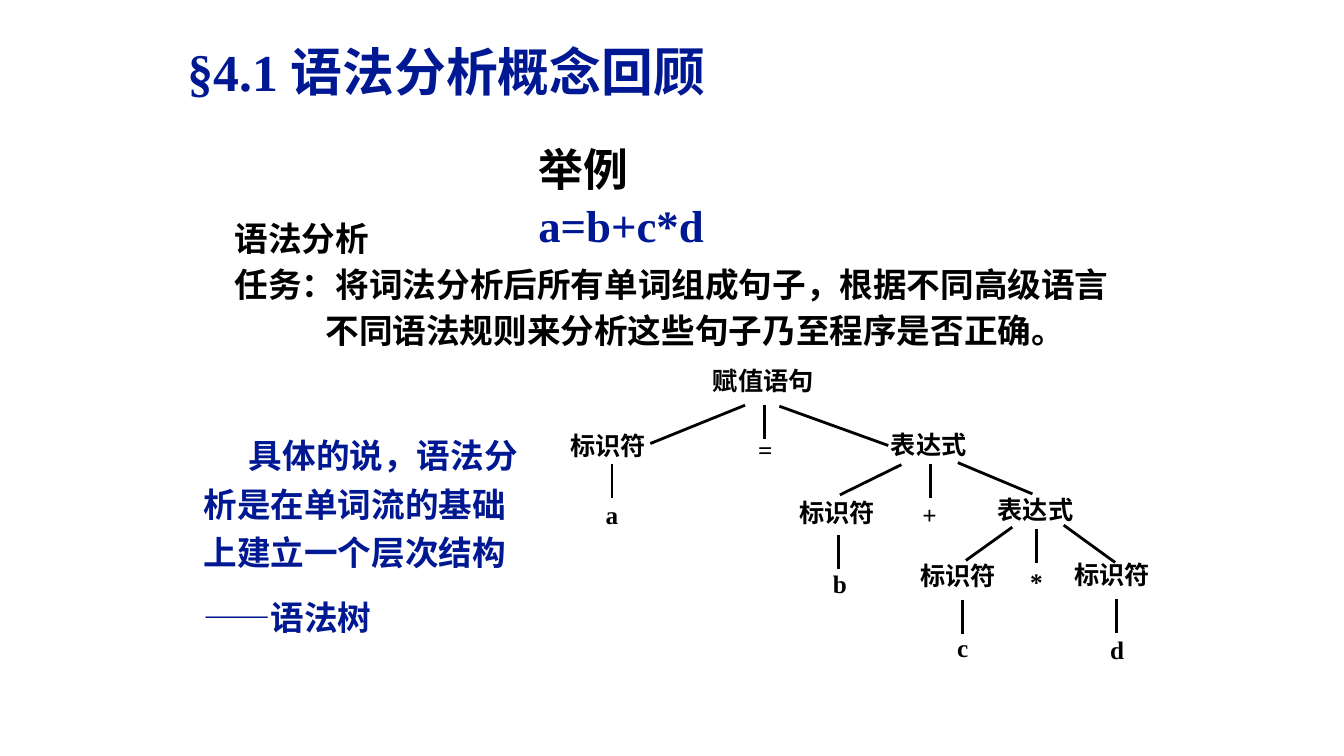
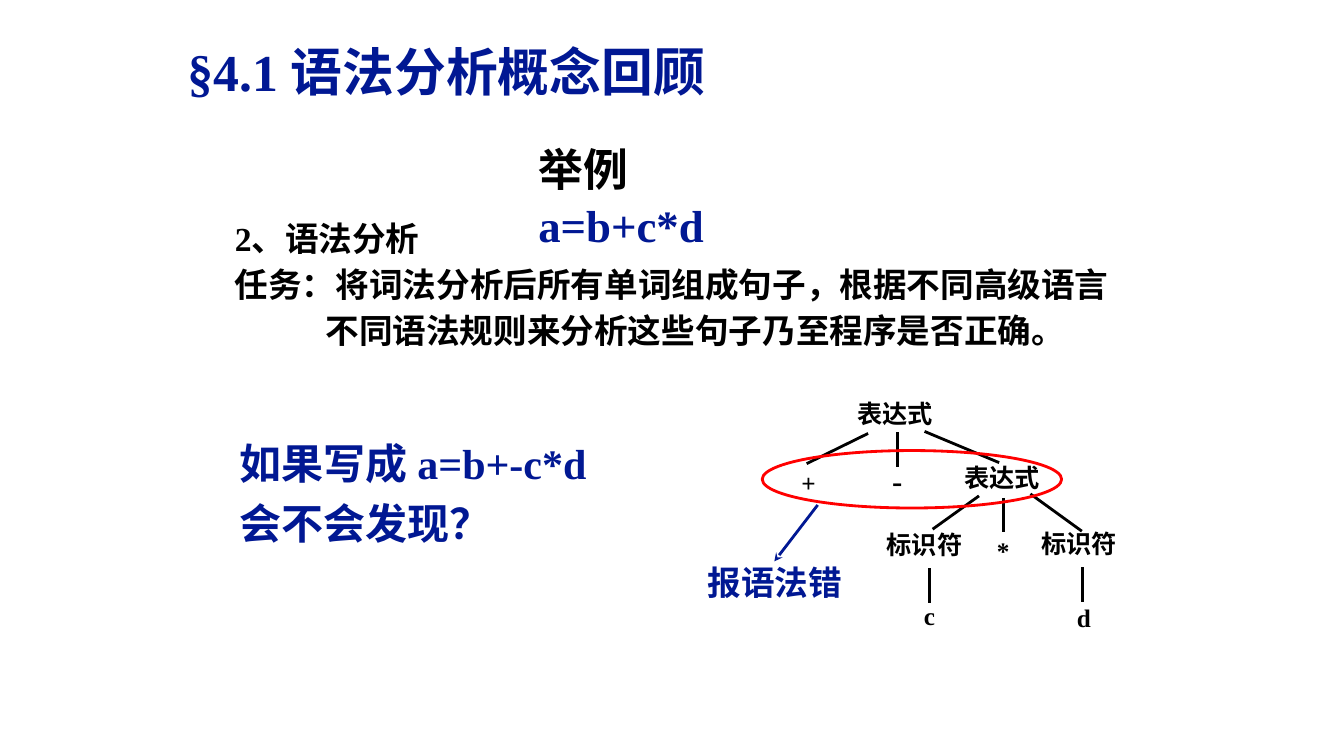
from lxml import etree
from pptx import Presentation
from pptx.dml.color import RGBColor
from pptx.enum import shapes, text
from pptx.oxml.ns import qn
from pptx.util import Inches, Pt

BLACK, BLUE, RED = "000000", "011893", "FF0000"
SERIF, SANS = "Times New Roman", "Calibri"
STEM_LENGTH = 0.34
LABEL_HEIGHT = 0.4
WORD_WIDTH, SYMBOL_WIDTH = 1.39, 0.46

TITLE = "§4.1 语法分析概念回顾"
EXAMPLE = [{"text": "举例"}, {"text": "a=b+c*d", "color": BLUE}]
TASK = [
    {"text": "任务：将词法分析后所有单词组成句子，根据不同高级语言", "spacing": 1.15},
    {"text": "不同语法规则来分析这些句子乃至程序是否正确。", "spacing": 1.15, "indent": 0.9},
]
EXPLANATION = [
    {"text": "具体的说，语法分析是在单词流的基础上建立一个层次结构",
     "spacing": 1.2, "indent": 0.45},
    {"text": "——语法树", "spacing": 1.2, "before": 12},
]
QUESTION = [
    {"text": "如果写成 a=b+-c*d", "spacing": 1.2},
    {"text": "会不会发现？", "spacing": 1.2},
]

EXPRESSION_TREE = {
    "words": [("表达式", 9.21, 4.21), ("表达式", 10.27, 4.85),
              ("标识符", 11.03, 5.5), ("标识符", 9.5, 5.51)],
    "symbols": [("c", 9.55, 6.22), ("d", 11.08, 6.24), ("*", 10.28, 5.57)],
    "stems": [(9.55, 5.95), (11.07, 5.94), (10.28, 5.25), (9.23, 4.6)],
    "branches": [(10.04, 5.23, 9.58, 5.56), (10.55, 5.21, 11.06, 5.58),
                 (8.94, 4.61, 8.33, 4.91), (9.5, 4.59, 10.24, 4.9)],
}
STATEMENT_TREE = {
    "words": [("赋值语句", 7.57, 3.58), ("标识符", 6.03, 4.22), ("标识符", 8.3, 4.88)],
    "symbols": [("+", 9.22, 4.9), ("b", 8.33, 5.59), ("=", 7.59, 4.26), ("a", 6.07, 4.9)],
    "stems": [(8.32, 5.31), (6.07, 4.6), (7.58, 4.02)],
    "branches": [(7.73, 4.03, 8.81, 4.42), (7.39, 4.02, 6.45, 4.4)],
}
ERROR_TREE_SHIFT = (-0.33, -0.31)


def rgb(color):
    return RGBColor.from_string(color)


def add_text(slide, box, paragraphs, size, color=BLACK, font=SERIF,
             align=text.PP_ALIGN.LEFT, anchor=text.MSO_ANCHOR.TOP):
    frame = slide.shapes.add_textbox(*map(Inches, box)).text_frame
    frame.word_wrap = True
    frame.vertical_anchor = anchor
    for index, item in enumerate(paragraphs):
        paragraph = frame.add_paragraph() if index else frame.paragraphs[0]
        paragraph.text = item["text"]
        paragraph.alignment = align
        paragraph.line_spacing = item.get("spacing", 1.0)
        if "before" in item:
            paragraph.space_before = Pt(item["before"])
        if "indent" in item:
            paragraph._p.get_or_add_pPr().set("indent", str(Inches(item["indent"])))
        paragraph.font.name = font
        paragraph.font.size = Pt(size)
        paragraph.font.bold = True
        paragraph.font.color.rgb = rgb(color)


def add_label(slide, label, center, top, width, font, size=18):
    add_text(slide, (center - width / 2, top, width, LABEL_HEIGHT), [{"text": label}],
             size, font=font, align=text.PP_ALIGN.CENTER)


def add_line(slide, points, color=BLACK, arrow=False):
    connector = slide.shapes.add_connector(
        shapes.MSO_CONNECTOR.STRAIGHT, *map(Inches, points))
    connector.line.color.rgb = rgb(color)
    connector.line.width = Pt(2)
    if arrow:
        etree.SubElement(connector.line._get_or_add_ln(), qn("a:tailEnd"), type="stealth")
    etree.SubElement(connector._element.spPr, qn("a:effectLst"))


def add_tree(slide, tree, shift=(0, 0)):
    dx, dy = shift
    for kind, width, font in (("words", WORD_WIDTH, SANS), ("symbols", SYMBOL_WIDTH, SERIF)):
        for label, center, top in tree[kind]:
            add_label(slide, label, center + dx, top + dy, width, font)
    stems = [(x, y, x, y + STEM_LENGTH) for x, y in tree["stems"]]
    for x1, y1, x2, y2 in stems + tree["branches"]:
        add_line(slide, (x1 + dx, y1 + dy, x2 + dx, y2 + dy))


def add_base_slide(presentation, topic):
    slide = presentation.slides.add_slide(presentation.slide_layouts[6])
    add_text(slide, (1.76, 0.21, 9.67, 0.86), [{"text": TITLE, "spacing": 1.2}],
             37, BLUE, anchor=text.MSO_ANCHOR.MIDDLE)
    for index, item in enumerate(EXAMPLE):
        add_text(slide, (5.24, 1.36 + index * 0.55, 3.18, 0.63), [item],
                 32, item.get("color", BLACK))
    add_text(slide, (2.23, 2.11, 9.02, 1.42), [{"text": topic}] + TASK, 24,
             align=text.PP_ALIGN.JUSTIFY)
    return slide


def add_syntax_tree_slide(presentation):
    slide = add_base_slide(presentation, "语法分析")
    add_text(slide, (1.92, 4.19, 3.4, 2.25), EXPLANATION, 24, BLUE)
    add_tree(slide, EXPRESSION_TREE)
    add_tree(slide, STATEMENT_TREE)


def add_syntax_error_slide(presentation):
    slide = add_base_slide(presentation, "2、语法分析")
    add_text(slide, (2.28, 4.19, 4.27, 1.3), QUESTION, 30, BLUE)
    add_tree(slide, EXPRESSION_TREE, ERROR_TREE_SHIFT)
    add_label(slide, "+", 8.02, 4.59, SYMBOL_WIDTH, SERIF)
    add_label(slide, "-", 8.9, 4.53, SYMBOL_WIDTH, SERIF, 22)
    ellipse = slide.shapes.add_shape(
        shapes.MSO_SHAPE.OVAL, *map(Inches, (7.56, 4.47, 2.97, 0.57)))
    ellipse.shadow.inherit = False
    ellipse.fill.background()
    ellipse.line.color.rgb = rgb(RED)
    ellipse.line.width = Pt(2)
    add_text(slide, (6.92, 5.53, 1.6, 0.5), [{"text": "报语法错"}], 24, BLUE, SANS)
    add_line(slide, (8.11, 5.01, 7.68, 5.57), BLUE, arrow=True)


def main():
    presentation = Presentation()
    presentation.slide_width = Inches(13.33)
    presentation.slide_height = Inches(7.5)
    add_syntax_tree_slide(presentation)
    add_syntax_error_slide(presentation)
    presentation.save("out.pptx")


if __name__ == "__main__":
    main()
